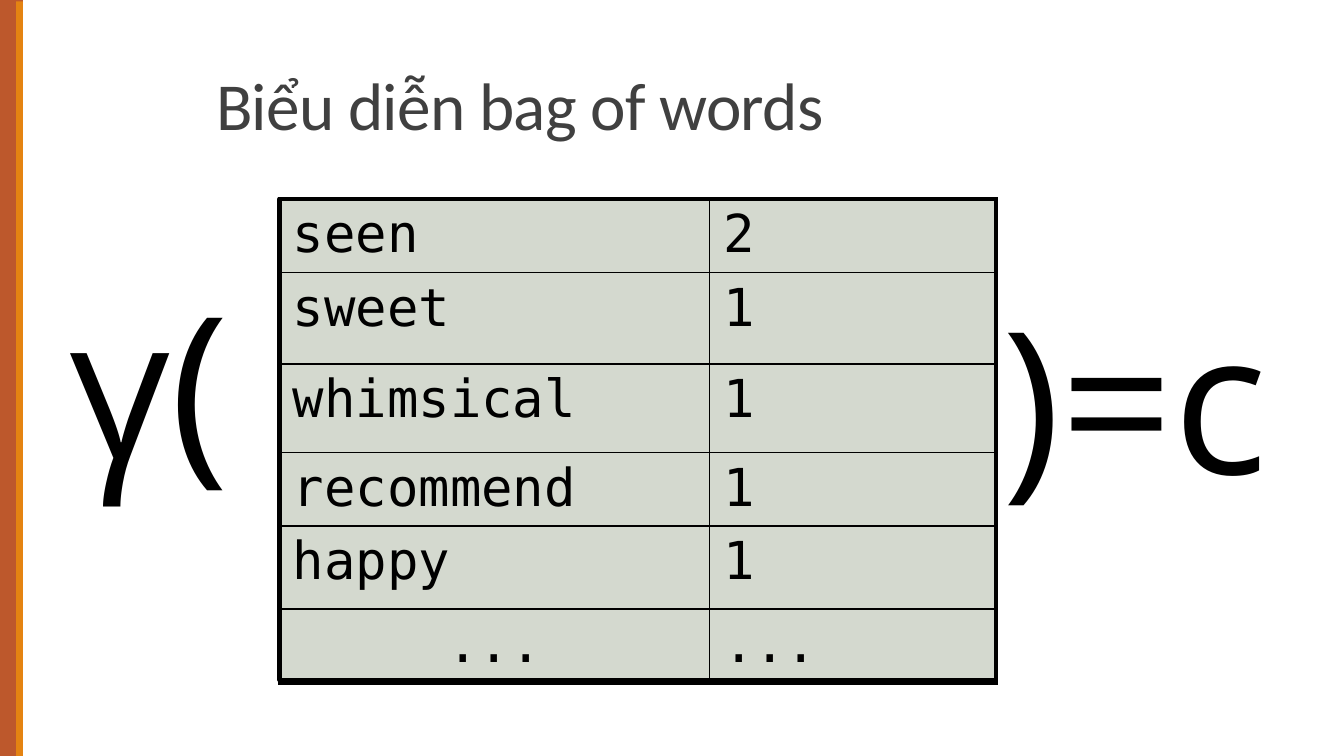
from lxml import etree
from pptx import Presentation
from pptx import util as u
from pptx.dml.color import RGBColor
from pptx.enum import shapes, text
from pptx.oxml.ns import qn

COLORS = {"rust": "BD582C", "orange": "E48312", "heading": "404040",
          "ink": "000000", "panel": "D4D9CF"}
WORD_COUNTS = [("seen", "2"), ("sweet", "1"), ("whimsical", "1"),
               ("recommend", "1"), ("happy", "1"), ("...", "...")]
ROW_HEIGHTS = [0.47, 0.68, 0.66, 0.45, 0.62, 0.55]
COLUMN_WIDTHS = [3.2, 2.13]
THICK, THIN = 2.25, 1


def color(name):
    return RGBColor.from_string(COLORS[name])


def write(frame, content, font, size, ink="ink", align=None, line=None, spacing=None):
    paragraph = frame.paragraphs[0]
    paragraph.alignment = align
    paragraph.line_spacing = line
    run = paragraph.add_run()
    run.text = content
    run.font.name = font
    run.font.size = u.Pt(size)
    run.font.color.rgb = color(ink)
    if spacing is not None:
        run.font._element.set("spc", str(round(spacing * 100)))


class SlideBuilder:
    def __init__(self, slide):
        self.slide = slide

    def rectangle(self, box, fill, outline=None, rotation=0):
        panel = self.slide.shapes.add_shape(
            shapes.MSO_SHAPE.RECTANGLE, *map(u.Inches, box))
        panel.shadow.inherit = False
        panel.rotation = rotation
        panel.fill.solid()
        panel.fill.fore_color.rgb = color(fill)
        if outline:
            panel.line.color.rgb = color("ink")
            panel.line.width = u.Pt(outline)
        else:
            panel.line.fill.background()

    def label(self, box, content, wrap=True, anchor=text.MSO_ANCHOR.TOP, **style):
        frame = self.slide.shapes.add_textbox(*map(u.Inches, box)).text_frame
        frame.word_wrap = wrap
        frame.vertical_anchor = anchor
        write(frame, content, **style)

    def border(self, cell, widths):
        properties = cell._tc.get_or_add_tcPr()
        for index, (side, width) in enumerate(widths.items()):
            edge = etree.Element(qn(f"a:ln{side}"), w=str(u.Pt(width)))
            fill = etree.SubElement(edge, qn("a:solidFill"))
            etree.SubElement(fill, qn("a:srgbClr"), val=COLORS["ink"])
            properties.insert(index, edge)

    def table(self, box, rows, widths, heights):
        grid = self.slide.shapes.add_table(
            len(rows), len(widths), *map(u.Inches, box)).table
        grid.first_row = grid.horz_banding = False
        for column, width in zip(grid.columns, widths):
            column.width = u.Inches(width)
        last_row, last_column = len(rows) - 1, len(widths) - 1
        for r, (values, height) in enumerate(zip(rows, heights)):
            grid.rows[r].height = u.Inches(height)
            for c, value in enumerate(values):
                cell = grid.cell(r, c)
                cell.margin_top = cell.margin_bottom = u.Inches(0.04)
                cell.margin_left = cell.margin_right = u.Inches(0.1)
                cell.fill.background()
                centred = (r, c) == (last_row, 0)
                write(cell.text_frame, value, "DejaVu Sans Mono", 28,
                      align=text.PP_ALIGN.CENTER if centred else None)
                self.border(cell, {
                    "L": THICK if c == 0 else THIN,
                    "R": THICK if c == last_column else THIN,
                    "T": THICK if r == 0 else THIN,
                    "B": THICK if r == last_row else THIN})


def main():
    deck = Presentation()
    deck.slide_width = u.Inches(10)
    deck.slide_height = deck.slide_width * 9 // 16
    page = SlideBuilder(deck.slides.add_slide(deck.slide_layouts[6]))

    page.rectangle((-2.75, 2.71, 5.63, 0.21), "rust", rotation=270)
    page.rectangle((-2.67, 2.8, 5.63, 0.05), "orange", rotation=270)
    page.label((1.51, 0.31, 8.17, 0.81), "Biểu diễn bag of words",
               anchor=text.MSO_ANCHOR.BOTTOM, font="Calibri", size=36,
               ink="heading", line=0.85, spacing=-0.4)
    page.rectangle((2.08, 1.48, 5.33, 3.58), "panel", outline=THICK)
    page.label((0.42, 1.9, 1.58, 1.88), "γ(", font="Open Sans", size=106)
    page.label((7.36, 2.01, 2.39, 1.88), ")=c", wrap=False,
               font="Open Sans", size=106)
    page.table((2.08, 1.48, 5.33, 3.59), WORD_COUNTS, COLUMN_WIDTHS, ROW_HEIGHTS)

    deck.save("out.pptx")


if __name__ == "__main__":
    main()
